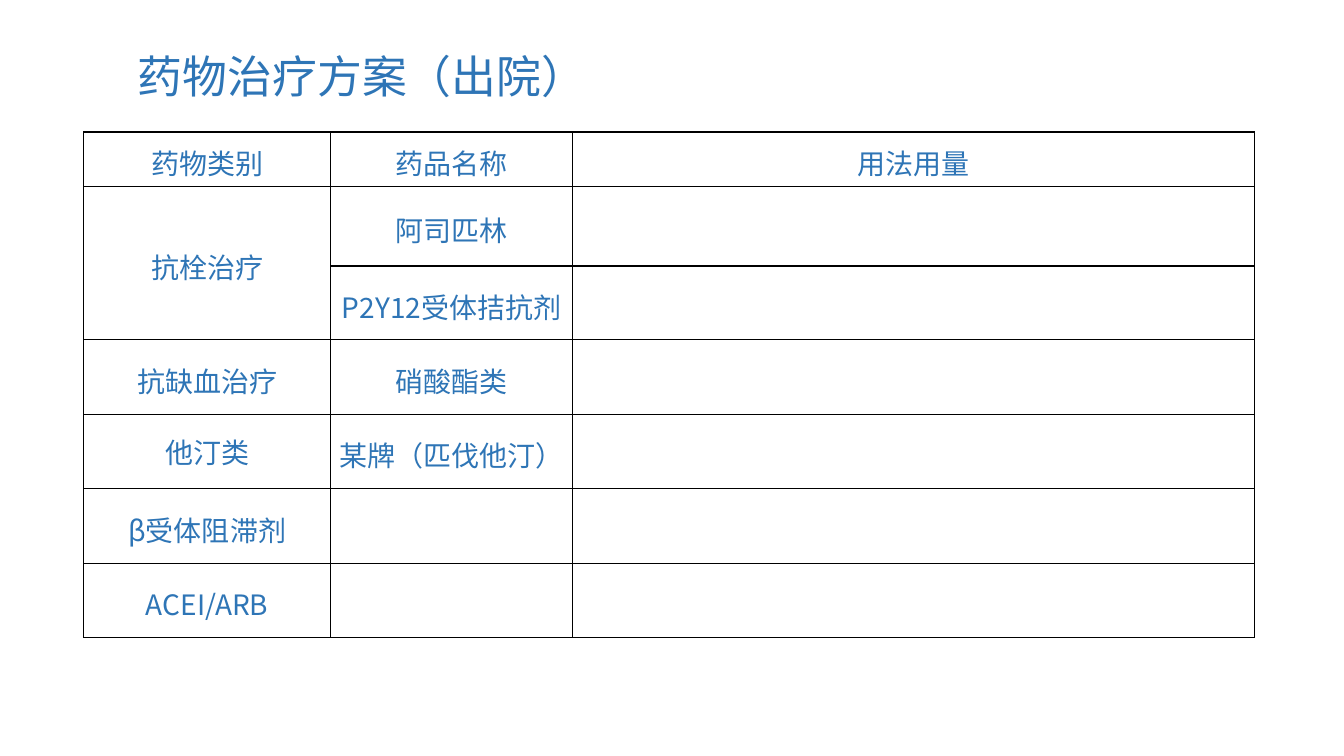
from dataclasses import dataclass

from lxml import etree
from pptx import Presentation
from pptx import util as u
from pptx.dml import color
from pptx.enum import text
from pptx.oxml import ns


@dataclass(frozen=True)
class Theme:
    font: str = "Noto Sans CJK SC"
    ink: str = "2E75B6"
    rule: str = "000000"
    line: float = 1
    title: float = 32
    body: float = 20
    lead: float = 1.15


class Board:
    def __init__(self, deck, theme):
        self.theme = theme
        self.wide, self.high = deck.slide_width, deck.slide_height
        self.slide = deck.slides.add_slide(deck.slide_layouts[6])

    def box(self, left, top, width, height):
        return (round(left * self.wide), round(top * self.high),
                round(width * self.wide), round(height * self.high))

    def run(self, para, words, size):
        run = para.add_run()
        run.text = words
        run.font.size = u.Pt(size)
        run.font.name = self.theme.font
        run.font.color.rgb = color.RGBColor.from_string(self.theme.ink)
        east = etree.SubElement(run.font._element, ns.qn("a:ea"))
        east.set("typeface", self.theme.font)

    def title(self, words, *area):
        frame = self.slide.shapes.add_textbox(*self.box(*area)).text_frame
        frame.word_wrap = True
        self.run(frame.paragraphs[0], words, self.theme.title)

    def border(self, cell):
        props = cell._tc.get_or_add_tcPr()
        for i, side in enumerate(("lnL", "lnR", "lnT", "lnB")):
            line = etree.Element(ns.qn(f"a:{side}"), w=str(u.Pt(self.theme.line)))
            fill = etree.SubElement(line, ns.qn("a:solidFill"))
            etree.SubElement(fill, ns.qn("a:srgbClr"), val=self.theme.rule)
            props.insert(i, line)

    def cell(self, cell, words, lead):
        cell.fill.background()
        cell.vertical_anchor = text.MSO_ANCHOR.MIDDLE
        cell.margin_left = cell.margin_right = u.Inches(0.07)
        cell.margin_top = cell.margin_bottom = u.Inches(0.03)
        self.border(cell)
        if words:
            para = cell.text_frame.paragraphs[0]
            para.alignment = text.PP_ALIGN.CENTER
            para.line_spacing = lead
            self.run(para, words, self.theme.body)

    def table(self, rows, cols, highs, spans, tight, *area):
        grid = self.slide.shapes.add_table(len(rows), len(cols), *self.box(*area)).table
        grid.first_row = grid.horz_banding = False
        for col, width in zip(grid.columns, cols):
            col.width = u.Inches(width)
        for row, height in zip(grid.rows, highs):
            row.height = u.Inches(height)
        for r, row in enumerate(rows):
            for c, words in enumerate(row):
                lead = 1 if (r, c) in tight else self.theme.lead
                self.cell(grid.cell(r, c), words, lead)
        for start, end in spans:
            grid.cell(*start).merge(grid.cell(*end))


ROWS = [
    ("药物类别", "药品名称", "用法用量"),
    ("抗栓治疗", "阿司匹林", ""),
    ("", "P2Y12受体拮抗剂", ""),
    ("抗缺血治疗", "硝酸酯类", ""),
    ("他汀类", "某牌（匹伐他汀）", ""),
    ("β受体阻滞剂", "", ""),
    ("ACEI/ARB", "", ""),
]
COLS = [2.45, 2.4, 6.76]
HIGHS = [0.54, 0.79, 0.73] + [0.74] * 4


def main():
    deck = Presentation()
    deck.slide_width, deck.slide_height = u.Inches(13.33), u.Inches(7.5)
    board = Board(deck, Theme())
    board.title("药物治疗方案（出院）", 1.27 / 13.33, 0.43 / 7.5, 7.13 / 13.33, 0.91 / 7.5)
    board.table(ROWS, COLS, HIGHS, [((1, 0), (2, 0))], {(4, 0)},
                0.83 / 13.33, 1.31 / 7.5, sum(COLS) / 13.33, sum(HIGHS) / 7.5)
    deck.save("out.pptx")


if __name__ == "__main__":
    main()
